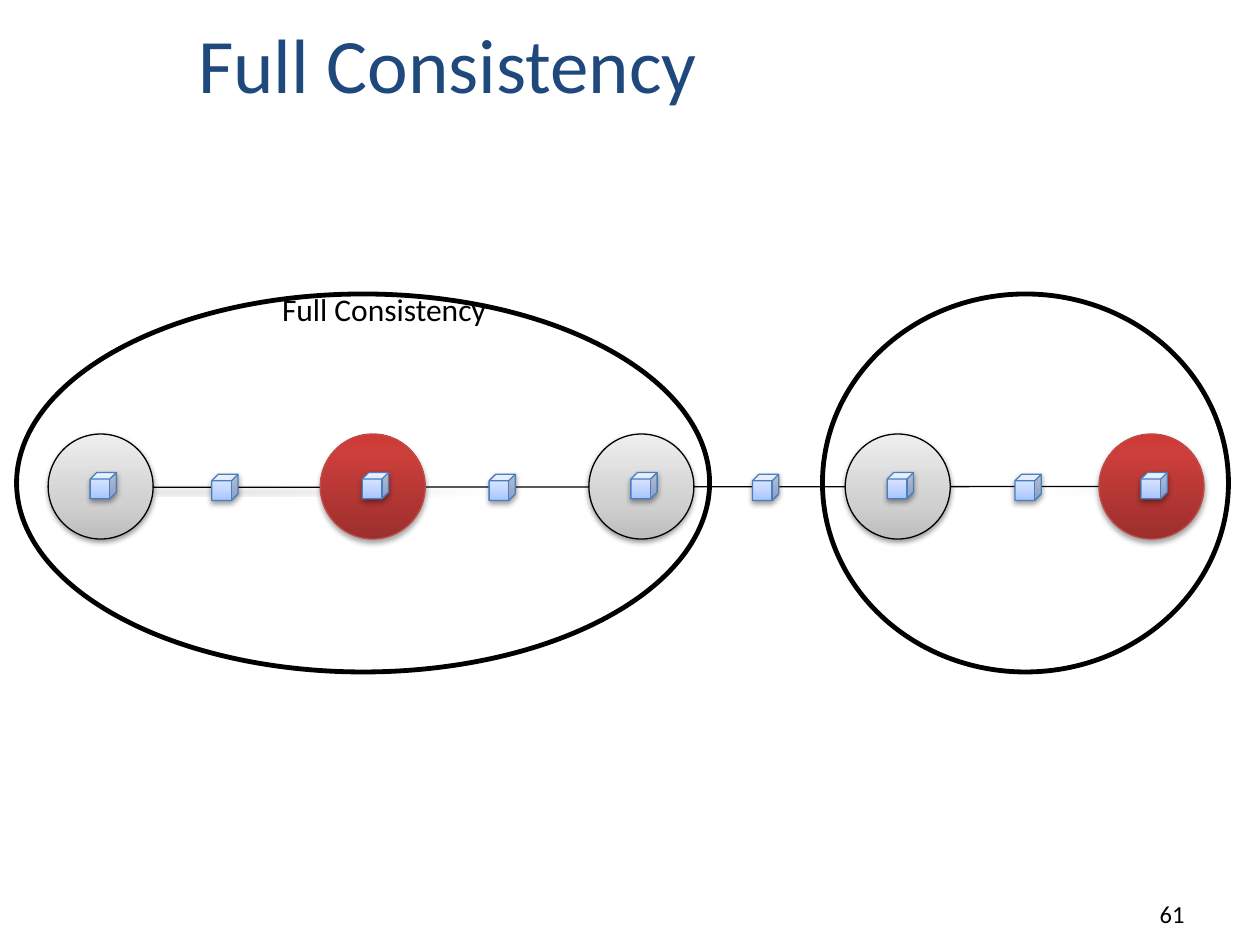
import pptx
import pptx.util
import pptx.dml.color
import pptx.enum.shapes
import pptx.enum.text
import pptx.oxml
import pptx.oxml.ns
from lxml import etree

Pt = pptx.util.Pt
Shapes = pptx.enum.shapes.MSO_SHAPE
Anchor = pptx.enum.text.MSO_ANCHOR
Align = pptx.enum.text.PP_ALIGN
qn = pptx.oxml.ns.qn

GRAY = [(0, "BDBDBD"), (35, "D1D1D1"), (100, "EEEEEE")]
RED = [(0, "9C2F2D"), (80, "CB3E3A"), (100, "CE3B37")]
BLUE = [(0, "A4C4FF"), (35, "BFD4FF"), (100, "E6EEFF")]
NODE_SIZE = 60
CUBE_SIZE = 15
# Left edge within the chain, gradient, outline
NODES = [(0, GRAY, "000000"), (155.5, RED, "BF4C48"), (309, GRAY, "000000"),
         (455.5, GRAY, "000000"), (600.5, RED, "BF4C48")]
LINK_CUBES = [93.5, 252, 402.5, 552.5]


def color(hex_value):
    return pptx.dml.color.RGBColor.from_string(hex_value)


def set_line(shape, hex_value, width):
    shape.line.color.rgb = color(hex_value)
    shape.line.width = Pt(width)


def add_shadow(shape, alpha=38, distance=1.6):
    """Soft shadow straight below; call after fill and line are set."""
    effects = etree.SubElement(shape._element.spPr, qn("a:effectLst"))
    shadow = etree.SubElement(effects, qn("a:outerShdw"), blurRad=str(int(Pt(3.1))),
                              dist=str(int(Pt(distance))), dir="5400000", rotWithShape="0")
    tint = etree.SubElement(shadow, qn("a:srgbClr"), val="000000")
    etree.SubElement(tint, qn("a:alpha"), val=str(alpha * 1000))


def fill_gradient(shape, stops):
    """Gradient running from bottom to top."""
    shape.fill.gradient()
    shape.fill.gradient_angle = 90
    stop_list = shape._element.spPr.find(".//" + qn("a:gsLst"))
    for old in list(stop_list):
        stop_list.remove(old)
    for position, hex_value in stops:
        stop = etree.SubElement(stop_list, qn("a:gs"), pos=str(position * 1000))
        etree.SubElement(stop, qn("a:srgbClr"), val=hex_value)


def add_scope(shapes, left, top, width, height):
    scope = shapes.add_shape(Shapes.OVAL, Pt(left), Pt(top), Pt(width), Pt(height))
    scope.shadow.inherit = False
    scope.fill.solid()
    scope.fill.fore_color.rgb = color("FFFFFF")
    set_line(scope, "000000", 2.75)


def add_text(shapes, text, left, top, width, height, size, align, anchor, wrap):
    box = shapes.add_textbox(Pt(left), Pt(top), Pt(width), Pt(height))
    box.text_frame.word_wrap = wrap
    box.text_frame.vertical_anchor = anchor
    para = box.text_frame.paragraphs[0]
    para.text = text
    para.alignment = align
    para.font.name = "Calibri"
    para.font.size = Pt(size)
    para.font.color.rgb = color("000000")


def add_labelled_scope(page, text, left, top, width, height):
    group = page.shapes.add_group_shape()
    add_scope(group.shapes, left, top, width, height)
    add_text(group.shapes, text, left + 66, top - 6, 288, 29, 18,
             Align.CENTER, Anchor.TOP, False)


def add_title(page, text, left, top, width, height):
    title = page.shapes.title
    title.left, title.top, title.width, title.height = map(Pt, (left, top, width, height))
    title.text_frame.vertical_anchor = Anchor.BOTTOM
    title.text_frame.auto_size = pptx.enum.text.MSO_AUTO_SIZE.NONE
    para = title.text_frame.paragraphs[0]
    para.text = text
    para.alignment = Align.LEFT
    para.font.name = "Calibri"
    para.font.size = Pt(44)
    para.font.color.rgb = color("1F497D")


def add_solid(page, kind, left, top, size, stops, outline):
    """Shaded circle or cube with a soft shadow."""
    solid = page.shapes.add_shape(kind, Pt(left), Pt(top), Pt(size), Pt(size))
    fill_gradient(solid, stops)
    set_line(solid, outline, 0.75)
    if stops is RED:
        add_shadow(solid, 35, 1.8)
    else:
        add_shadow(solid)


def add_chain(page, left, top):
    """Row of nodes on one line, with a cube in each node and on each link."""
    middle = top + NODE_SIZE / 2
    link = page.shapes.add_connector(
        pptx.enum.shapes.MSO_CONNECTOR.STRAIGHT,
        Pt(left + NODE_SIZE), Pt(middle + 0.5), Pt(left + NODES[-1][0]), Pt(middle))
    set_line(link, "000000", 0.75)
    add_shadow(link)
    for offset, stops, outline in NODES:
        add_solid(page, Shapes.OVAL, left + offset, top, NODE_SIZE, stops, outline)
    node_cubes = [(offset + 24, 22) for offset, _, _ in NODES]
    link_cubes = [(offset, 23) for offset in LINK_CUBES]
    for across, down in node_cubes + link_cubes:
        add_solid(page, Shapes.CUBE, left + across, top + down, CUBE_SIZE, BLUE, "4B7EBC")


def main():
    deck = pptx.Presentation()
    deck.slide_width, deck.slide_height = Pt(720), Pt(540)
    page = deck.slides.add_slide(deck.slide_layouts[5])
    add_title(page, "Full Consistency", 106, 6, 590, 60)
    add_scope(page.shapes, 470, 168, 232, 216)
    add_labelled_scope(page, "Full Consistency", 9.5, 168, 396, 216)
    add_text(page.shapes, "61", 534, 498, 150, 36, 14, Align.RIGHT, Anchor.BOTTOM, True)
    add_chain(page, 27.5, 248)
    deck.save("out.pptx")


if __name__ == "__main__":
    main()
